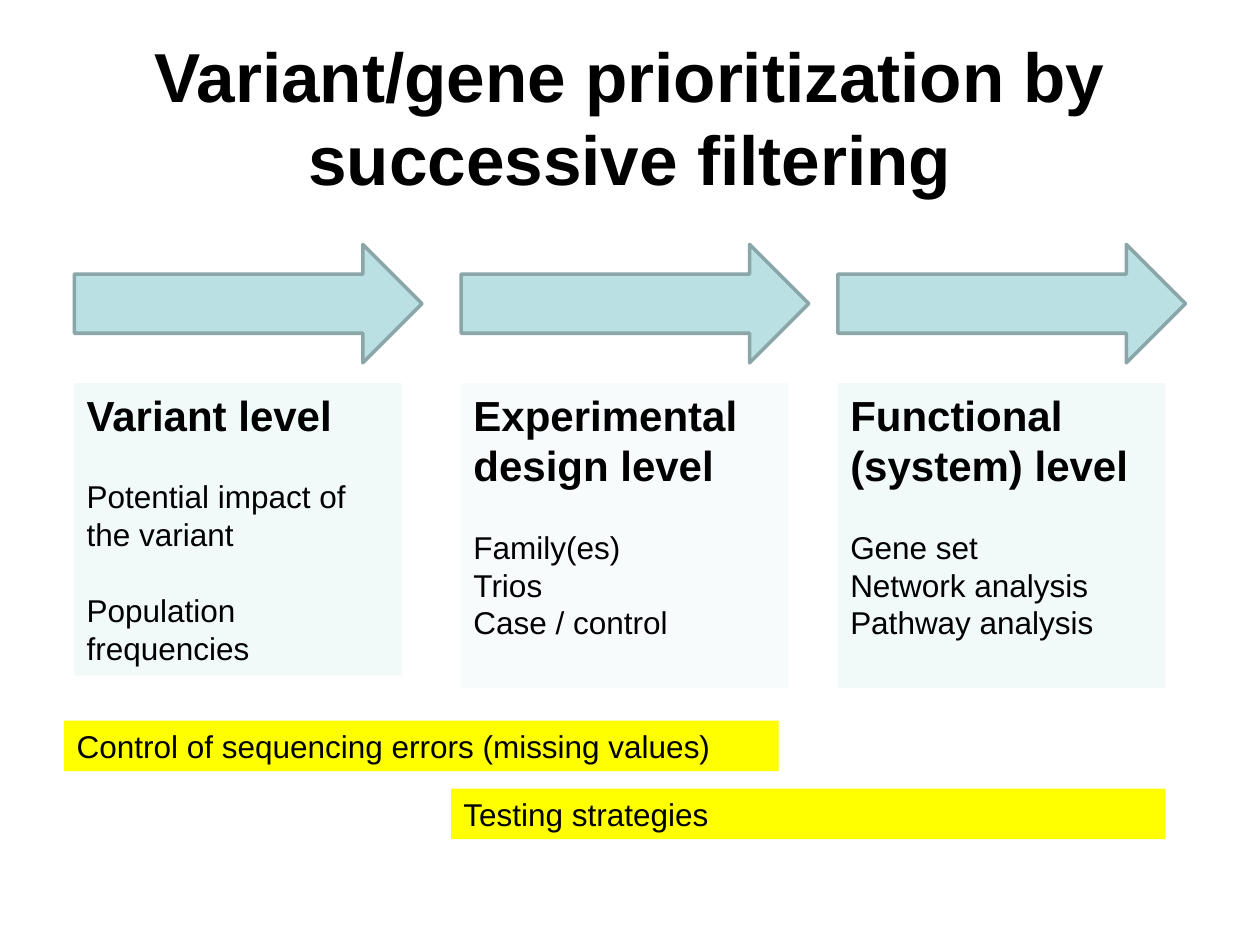
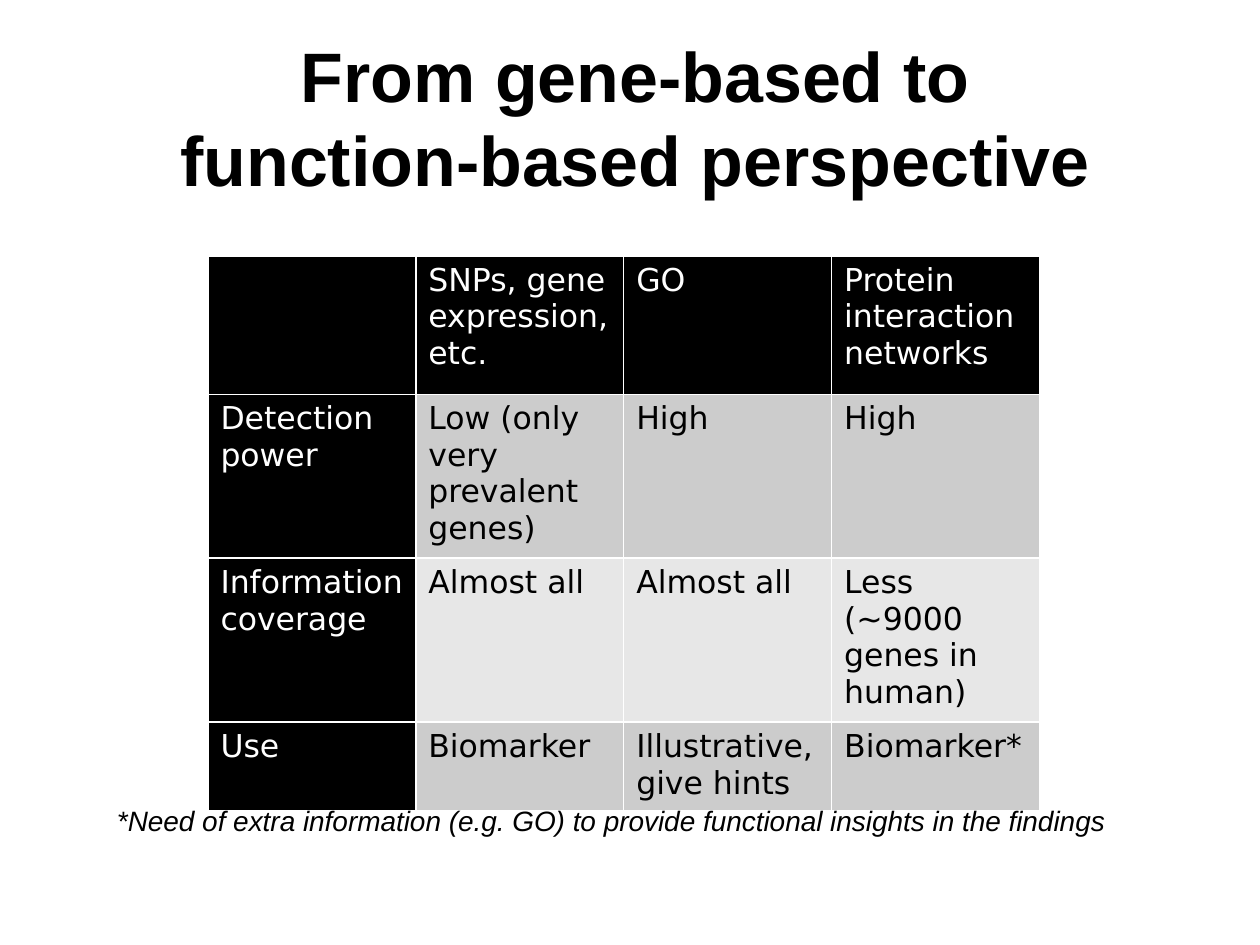
from dataclasses import dataclass

from lxml import etree
from pptx import Presentation
from pptx.dml.color import RGBColor
from pptx.enum.shapes import MSO_SHAPE
from pptx.enum.text import MSO_ANCHOR, PP_ALIGN
from pptx.oxml.ns import qn
from pptx.util import Inches, Pt

RECTANGLE, RIGHT_ARROW = MSO_SHAPE.RECTANGLE, MSO_SHAPE.RIGHT_ARROW
LEFT, CENTER = PP_ALIGN.LEFT, PP_ALIGN.CENTER
TOP, MIDDLE = MSO_ANCHOR.TOP, MSO_ANCHOR.MIDDLE


@dataclass(frozen=True)
class Theme:
    font: str = "Arial"
    table_font: str = "DejaVu Sans"
    black: str = "000000"
    white: str = "FFFFFF"
    arrow: str = "BBE0E3"
    arrow_line: str = "8AA6A8"
    panel: str = "F1F9F9"
    panel_middle: str = "F8FBFC"
    highlight: str = "FFFF00"
    dark_band: str = "CCCCCC"
    light_band: str = "E7E7E7"
    title_size: float = 40
    heading_size: float = 24
    body_size: float = 18
    note_size: float = 16
    blank_line: float = 21.6


theme = Theme()


def add_block(slide, kind, left, top, width, height, fill=None):
    """Add a preset shape without shadow or outline."""
    shape = slide.shapes.add_shape(
        kind, Inches(left), Inches(top), Inches(width), Inches(height))
    shape.shadow.inherit = False
    shape.line.fill.background()
    if fill:
        shape.fill.solid()
        shape.fill.fore_color.rgb = RGBColor.from_string(fill)
    else:
        shape.fill.background()
    return shape


def write(text_frame, text, size, color=theme.black, font=theme.font,
          align=LEFT, anchor=TOP):
    """Fill a text frame with wrapped, uniformly formatted paragraphs."""
    text_frame.text = text
    text_frame.word_wrap = True
    text_frame.vertical_anchor = anchor
    for paragraph in text_frame.paragraphs:
        paragraph.alignment = align
        for run in paragraph.runs:
            run.font.name = font
            run.font.size = Pt(size)
            run.font.color.rgb = RGBColor.from_string(color)


presentation = Presentation()
presentation.slide_width = Inches(10)
presentation.slide_height = Inches(7.5)

# Slides with their shared title style
titles = [
    ("Variant/gene prioritization by successive filtering", 0.5, 9, 39.6),
    ("From gene-based to function-based perspective", 1.14, 7.8, theme.title_size),
]
slides = []
for title, left, width, size in titles:
    slide = presentation.slides.add_slide(presentation.slide_layouts[6])
    title_box = slide.shapes.add_textbox(
        Inches(left), Inches(0.3), Inches(width), Inches(1.25))
    write(title_box.text_frame, title, size, align=CENTER, anchor=MIDDLE)
    title_box.text_frame.paragraphs[0].runs[0].font.bold = True
    slides.append(slide)
filtering_slide, perspective_slide = slides

# Slide 1: one arrow and one panel per filtering level
# (left, panel height, fill, lines, indexes of lines after a gap)
levels = [
    (0.59, 2.32, theme.panel,
     ["Variant level", "Potential impact of the variant",
      "Population frequencies"], (1, 2)),
    (3.66, 2.42, theme.panel_middle,
     ["Experimental design level", "Family(es)", "Trios", "Case / control"], (1,)),
    (6.65, 2.42, theme.panel,
     ["Functional (system) level", "Gene set", "Network analysis",
      "Pathway analysis"], (1,)),
]
for left, height, fill, lines, spaced_lines in levels:
    panel = add_block(filtering_slide, RECTANGLE, left, 3.04, 2.6, height, fill)
    write(panel.text_frame, "\n".join(lines), theme.body_size)
    paragraphs = panel.text_frame.paragraphs
    paragraphs[0].runs[0].font.size = Pt(theme.heading_size)
    paragraphs[0].runs[0].font.bold = True
    for index in spaced_lines:
        paragraphs[index].space_before = Pt(theme.blank_line)

    arrow = add_block(filtering_slide, RIGHT_ARROW, left, 1.94, 2.76, 0.94, theme.arrow)
    arrow.line.color.rgb = RGBColor.from_string(theme.arrow_line)
    arrow.line.width = Pt(2)

# Slide 1: highlighted steps spanning two levels each
steps = [
    ("Control of sequencing errors (missing values)", 0.51, 5.72),
    ("Testing strategies", 3.58, 6.26),
]
for text, left, top in steps:
    bar = add_block(filtering_slide, RECTANGLE, left, top, 5.67, 0.4, theme.highlight)
    write(bar.text_frame, text, theme.body_size)

# Slide 2: comparison table
rows = [
    ["", "SNPs, gene expression, etc.", "GO", "Protein interaction networks"],
    ["Detection power", "Low (only very prevalent genes)", "High", "High"],
    ["Information coverage", "Almost all", "Almost all",
     "Less (~9000 genes in human)"],
    ["Use", "Biomarker", "Illustrative, give hints", "Biomarker*"],
]
row_heights = [1.1, 1.26, 1.26, 0.69]
column_width = 1.65
table = perspective_slide.shapes.add_table(
    len(rows), len(rows[0]), Inches(1.65), Inches(2.03),
    Inches(column_width * len(rows[0])), Inches(sum(row_heights))).table
for column in table.columns:
    column.width = Inches(column_width)
for row_index, (texts, height) in enumerate(zip(rows, row_heights)):
    table.rows[row_index].height = Inches(height)
    for column_index, text in enumerate(texts):
        cell = table.cell(row_index, column_index)
        is_header = row_index == 0 or column_index == 0
        band = theme.dark_band if row_index % 2 else theme.light_band
        write(cell.text_frame, text, theme.body_size,
              theme.white if is_header else theme.black, theme.table_font)

        # White borders come before the fill in the cell properties
        properties = cell._tc.get_or_add_tcPr()
        for side in ("a:lnL", "a:lnR", "a:lnT", "a:lnB"):
            border = etree.SubElement(properties, qn(side), w=str(Pt(1)))
            border_fill = etree.SubElement(border, qn("a:solidFill"))
            etree.SubElement(border_fill, qn("a:srgbClr"), val=theme.white)
        cell.fill.solid()
        cell.fill.fore_color.rgb = RGBColor.from_string(
            theme.black if is_header else band)

# Slide 2: footnote
note = perspective_slide.shapes.add_textbox(
    Inches(0.83), Inches(6.33), Inches(8.27), Inches(0.37))
write(note.text_frame,
      "*Need of extra information (e.g. GO) to provide functional insights in the findings",
      theme.note_size)
note.text_frame.paragraphs[0].runs[0].font.italic = True

presentation.save("out.pptx")
